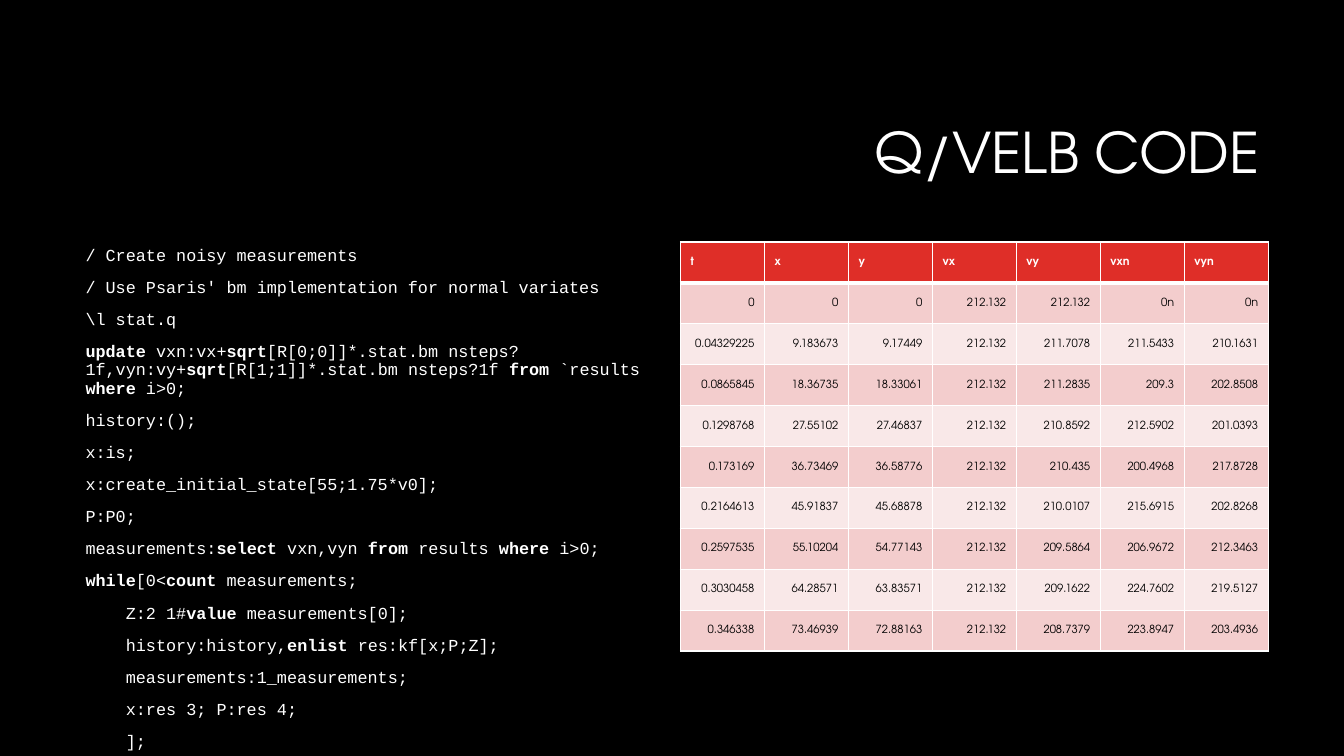
from lxml import etree
from pptx import Presentation
from pptx.dml.color import RGBColor
from pptx.enum.text import MSO_ANCHOR, PP_ALIGN
from pptx.oxml.ns import qn
from pptx.util import Inches, Pt

LEFT, RIGHT = PP_ALIGN.LEFT, PP_ALIGN.RIGHT
TOP, MIDDLE = MSO_ANCHOR.TOP, MSO_ANCHOR.MIDDLE
SANS, MONO = "TeX Gyre Adventor", "Courier New"
COLORS = {
    "black": "000000",
    "white": "FFFFFF",
    "red": "DF2E28",
    "rose": "F3CDCD",
    "pale": "F9E8E8",
}
INDENT = 0.4

CODE = [
    (0, "/ Create noisy measurements"),
    (0, "/ Use Psaris' bm implementation for normal variates"),
    (0, "\\l stat.q"),
    (0, "|update |vxn:vx+|sqrt|[R[0;0]]*.stat.bm nsteps?1f,vyn:vy+|sqrt|"
        "[R[1;1]]*.stat.bm nsteps?1f |from| `results |where |i>0;"),
    (0, "history:();"),
    (0, "x:is;"),
    (0, "x:create_initial_state[55;1.75*v0];"),
    (0, "P:P0;"),
    (0, "measurements:|select |vxn,vyn |from| results |where |i>0;"),
    (0, "|while|[0<|count| measurements;"),
    (1, "Z:2 1#|value| measurements[0];"),
    (1, "history:history,|enlist |res:kf[x;P;Z];"),
    (1, "measurements:1_measurements;"),
    (1, "x:res 3; P:res 4;"),
    (1, "];"),
]
HEADS = ["t", "x", "y", "vx", "vy", "vxn", "vyn"]
DATA = [
    ["0", "0", "0", "212.132", "212.132", "0n", "0n"],
    ["0.04329225", "9.183673", "9.17449", "212.132", "211.7078", "211.5433", "210.1631"],
    ["0.0865845", "18.36735", "18.33061", "212.132", "211.2835", "209.3", "202.8508"],
    ["0.1298768", "27.55102", "27.46837", "212.132", "210.8592", "212.5902", "201.0393"],
    ["0.173169", "36.73469", "36.58776", "212.132", "210.435", "200.4968", "217.8728"],
    ["0.2164613", "45.91837", "45.68878", "212.132", "210.0107", "215.6915", "202.8268"],
    ["0.2597535", "55.10204", "54.77143", "212.132", "209.5864", "206.9672", "212.3463"],
    ["0.3030458", "64.28571", "63.83571", "212.132", "209.1622", "224.7602", "219.5127"],
    ["0.346338", "73.46939", "72.88163", "212.132", "208.7379", "223.8947", "203.4936"],
]


def color(name):
    """Return the named colour."""
    return RGBColor.from_string(COLORS[name])


def write(para, text, size=12, font=SANS, ink="white", bold=False,
          align=LEFT, line=None, before=0, level=0):
    """Fill a paragraph, toggling bold at each bar in the text."""
    para.alignment = align
    para.line_spacing = line
    para.space_before = Pt(before)
    if level:
        props = para._p.get_or_add_pPr()
        props.set("marL", str(Inches(INDENT * level)))
        props.set("indent", "0")
    for num, part in enumerate(text.split("|")):
        if part:
            run = para.add_run()
            run.text = part
            run.font.name = font
            run.font.size = Pt(size)
            run.font.bold = bold or num % 2 == 1
            run.font.color.rgb = color(ink)


def add_frame(slide, box, anchor):
    """Add a wrapping text box and return its frame."""
    frame = slide.shapes.add_textbox(*map(Inches, box)).text_frame
    frame.word_wrap = True
    frame.vertical_anchor = anchor
    return frame


def add_title(slide, box, text):
    """Place the slide title in the box."""
    frame = add_frame(slide, box, MIDDLE)
    write(frame.paragraphs[0], text, size=40, align=RIGHT, line=0.9)


def add_code(slide, box, lines):
    """Place the code listing in the box."""
    frame = add_frame(slide, box, TOP)
    for num, (level, text) in enumerate(lines):
        para = frame.add_paragraph() if num else frame.paragraphs[0]
        write(para, text, font=MONO, line=0.9, before=10, level=level)


def set_edges(cell, top, bottom):
    """Draw white borders around a cell, with widths in points."""
    props = cell._tc.get_or_add_tcPr()
    edges = {"a:lnL": 1, "a:lnR": 1, "a:lnT": top, "a:lnB": bottom}
    for num, (tag, width) in enumerate(edges.items()):
        edge = etree.Element(qn(tag), w=str(Pt(width)))
        fill = etree.SubElement(edge, qn("a:solidFill"))
        etree.SubElement(fill, qn("a:srgbClr"), val=COLORS["white"])
        props.insert(num, edge)


def add_grid(slide, box, rows):
    """Place a table of equal cells in the box, with a header row."""
    count, width = len(rows), len(rows[0])
    table = slide.shapes.add_table(count, width, *map(Inches, box)).table
    table.first_row = table.horz_banding = False
    for col in table.columns:
        col.width = Inches(box[2] / width)
    for i, row in enumerate(rows):
        table.rows[i].height = Inches(box[3] / count)
        head = i == 0
        shade = "red" if head else ("pale", "rose")[i % 2]
        for j, text in enumerate(row):
            cell = table.cell(i, j)
            cell.vertical_anchor = MIDDLE
            cell.fill.solid()
            cell.fill.fore_color.rgb = color(shade)
            write(cell.text_frame.paragraphs[0], text, size=8, bold=head,
                  ink="white" if head else "black", align=LEFT if head else RIGHT)
            set_edges(cell, 3 if i == 1 else 1, 3 if head else 1)


def main():
    """Build the slide and save it."""
    deck = Presentation()
    deck.slide_width, deck.slide_height = Inches(13.33), Inches(7.5)
    slide = deck.slides.add_slide(deck.slide_layouts[6])
    slide.background.fill.solid()
    slide.background.fill.fore_color.rgb = color("black")
    add_title(slide, (3.17, 0.84, 9.42, 1.41), "Q/VELB CODE")
    add_code(slide, (0.75, 2.4, 5.83, 4.4), CODE)
    add_grid(slide, (6.75, 2.4, 5.83, 4.06), [HEADS] + DATA)
    deck.save("out.pptx")


if __name__ == "__main__":
    main()
